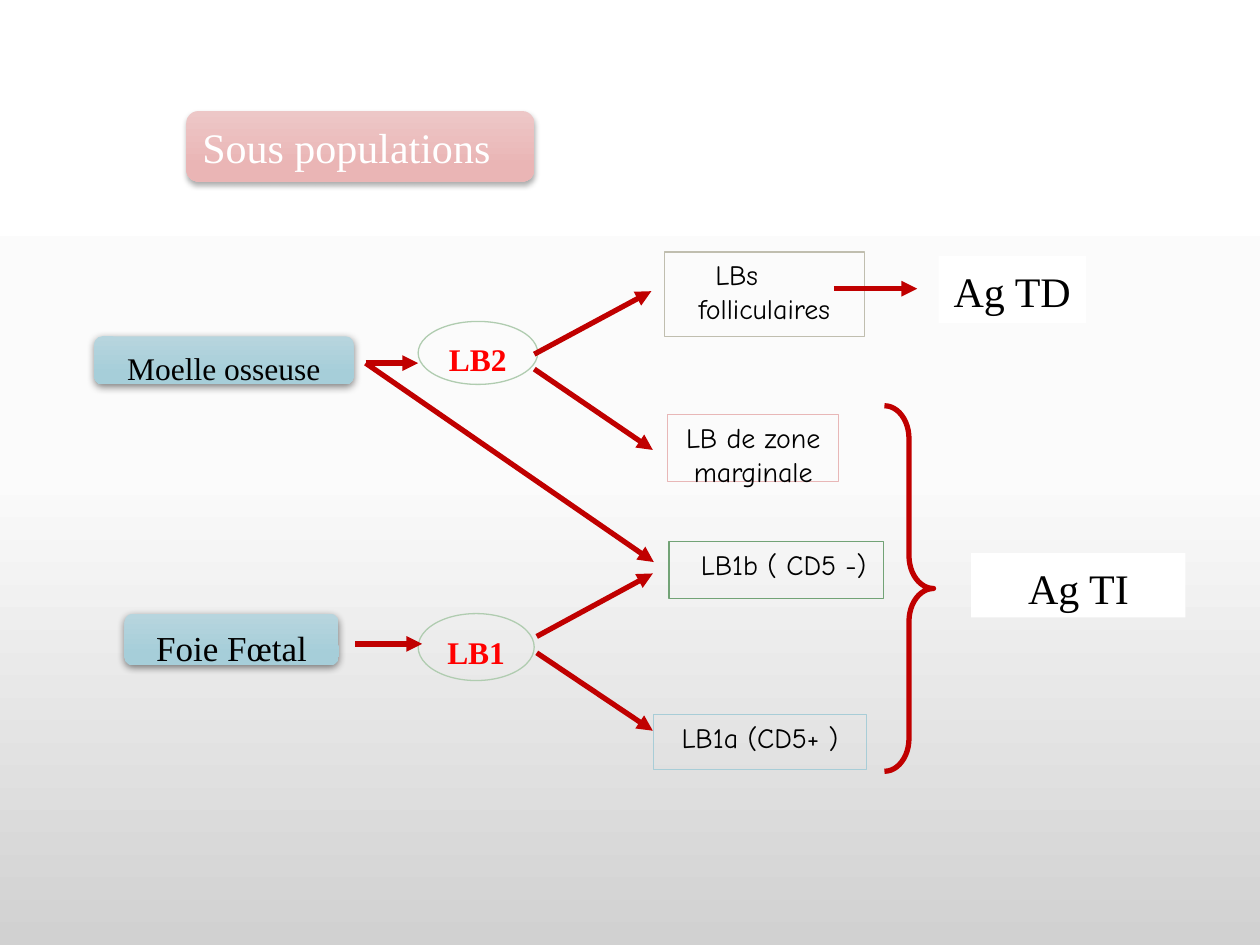
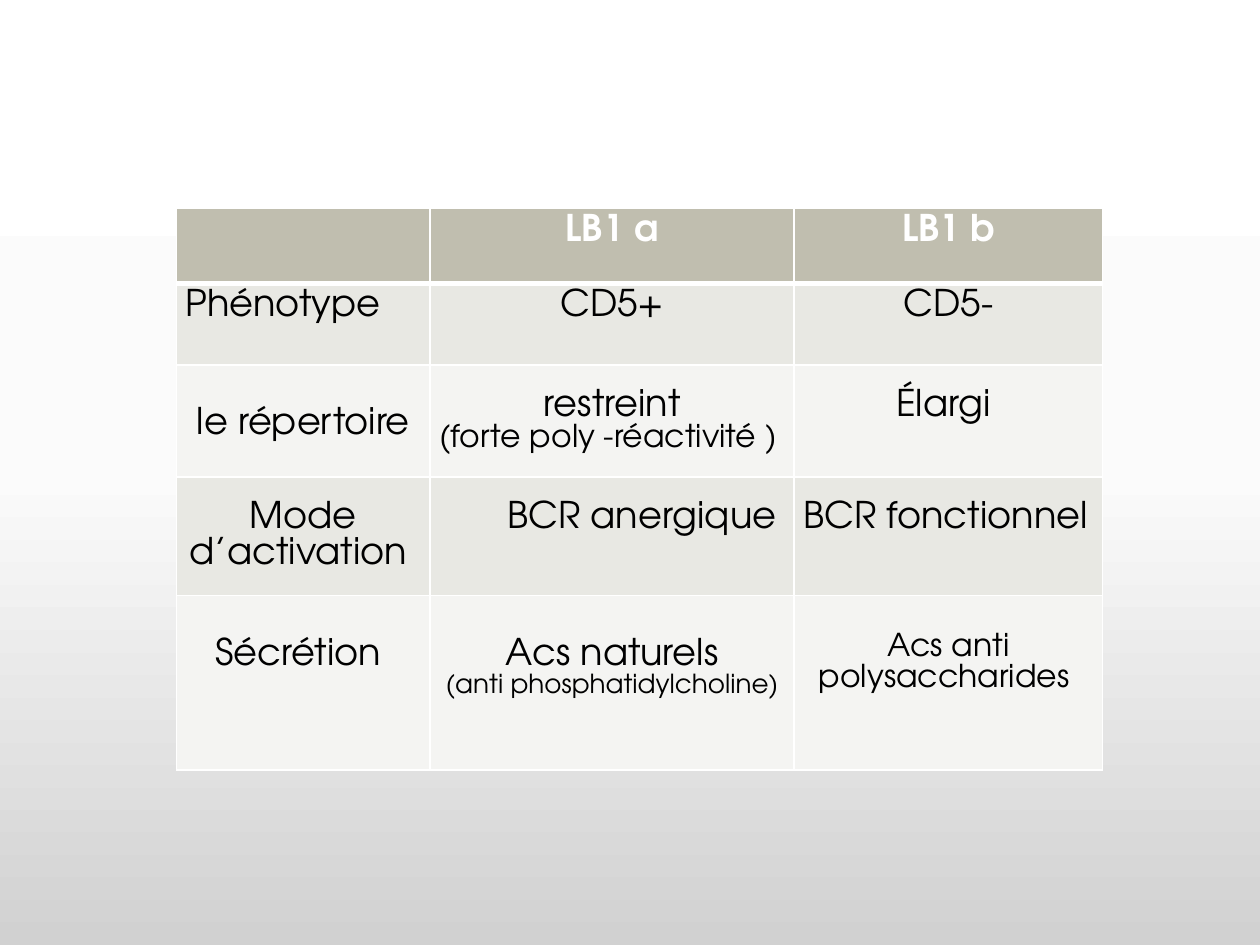
from copy import deepcopy
from pptx import Presentation
from pptx.dml.color import RGBColor as Rgb
from pptx.enum.shapes import MSO_CONNECTOR as Link, MSO_SHAPE as Kind
from pptx.enum.text import MSO_ANCHOR as Anchor, PP_ALIGN as Align
from pptx.oxml import parse_xml
from pptx.oxml.ns import nsdecls, qn
from pptx.util import Cm, Pt


class Theme:
    back = [(0, "FFFFFF"), (0.5, "FBFBFB"), (1, "D1D1D1")]
    blue = [(0, "B7D5DE"), (0.78, "A6CED9")]
    pink = [(0, "EDC7C7"), (0.78, "EAB5B5")]
    white, black, red, dark = "FFFFFF", "000000", "FF0000", "C00000"
    sand, rose, green, mint, sky = "C0BEAF", "E8B7B7", "72A376", "B0CCB0", "A8CDD7"
    bands = ["F4F4F2", "E8E8E3"]
    serif, hand, sans = "Times New Roman", "Comic Neue", "TeX Gyre Adventor"
    title, large, mid, small = 24, 20, 18, 16
    cell, note = 21, 15
    thin, thick = 0.75, 3


def blend(fill, root, stops):
    fill.gradient()
    fill.gradient_angle = 270
    first = next(root.iter(qn("a:gs")))
    for _ in stops[2:]:
        first.addnext(deepcopy(first))
    for stop, (pos, tint) in zip(fill.gradient_stops, stops):
        stop.position = pos
        stop.color.rgb = Rgb.from_string(tint)


def write(par, text, size, face, tint, bold=False):
    run = par.add_run()
    run.text = text
    run.font.size = Pt(size)
    run.font.name = face
    run.font.bold = bold
    run.font.color.rgb = Rgb.from_string(tint)


T = Theme
L, C, R = Align.LEFT, Align.CENTER, Align.RIGHT
prs = Presentation()
prs.slide_width, prs.slide_height = Cm(25.4), Cm(19.05)
blank = prs.slide_layouts[6]
master = prs.slide_master
blend(master.background.fill, master.element, T.back)

tree = prs.slides.add_slide(blank)

boxes = [
    ((13.39, 5.08, 4.04, 1.7), T.sand, [("LBs", L, 0.85), ("folliculaires", C, 0)]),
    ((13.46, 8.36, 3.45, 1.35), T.rose, [("LB de zone", C, 0), ("marginale", C, 0)]),
    ((13.49, 10.92, 4.32, 1.14), T.green, [("LB1b ( CD5 -)", L, 0.46)]),
    ((13.18, 14.4, 4.29, 1.12), T.sky, [("LB1a (CD5+ )", L, 0.38)]),
]
for area, edge, lines in boxes:
    box = tree.shapes.add_shape(Kind.RECTANGLE, *map(Cm, area))
    box.shadow.inherit = False
    box.fill.background()
    box.line.color.rgb = Rgb.from_string(edge)
    box.line.width = Pt(T.thin)
    frame = box.text_frame
    frame.vertical_anchor = Anchor.TOP
    frame.margin_left = frame.margin_right = Cm(0.18)
    frame.margin_top = frame.margin_bottom = Cm(0.12)
    for i, (text, align, shift) in enumerate(lines):
        par = frame.add_paragraph() if i else frame.paragraphs[0]
        par.alignment = align
        par._p.get_or_add_pPr().set("marL", str(Cm(shift)))
        write(par, text, T.small, T.hand, T.black)

labels = [
    (Kind.ROUNDED_RECTANGLE, (1.9, 6.78, 5.23, 0.97), "Moelle osseuse", T.mid, T.black, T.blue, (48, 4.5, 1.5)),
    (Kind.ROUNDED_RECTANGLE, (2.51, 12.37, 4.32, 1.04), "Foie Fœtal", T.large, T.black, T.blue, (48, 4.5, 1.5)),
    (Kind.ROUNDED_RECTANGLE, (3.76, 2.24, 7.01, 1.42), "Sous populations", T.title, T.white, T.pink, (32, 3.5, 2.2)),
    (Kind.OVAL, (8.43, 6.48, 2.41, 1.27), "LB2", T.mid, T.red, None, None),
    (Kind.OVAL, (8.43, 12.37, 2.34, 1.35), "LB1", T.mid, T.red, None, None),
    (Kind.RECTANGLE, (18.92, 5.16, 2.97, 1.35), "Ag TD", T.title, T.black, T.white, None),
    (Kind.RECTANGLE, (19.58, 11.15, 4.32, 1.3), "Ag TI", T.title, T.black, T.white, None),
]
for kind, area, text, size, tint, fill, shade in labels:
    tag = tree.shapes.add_shape(kind, *map(Cm, area))
    tag.shadow.inherit = False
    tag.line.fill.background()
    if shade:
        blend(tag.fill, tag.element, fill)
        alpha, blur, dist = shade
        tag.element.spPr.find(qn("a:effectLst")).append(parse_xml(
            f'<a:outerShdw {nsdecls("a")} blurRad="{Pt(blur)}" dist="{Pt(dist)}" dir="5400000" rotWithShape="0">'
            f'<a:srgbClr val="{T.black}"><a:alpha val="{alpha * 1000}"/></a:srgbClr></a:outerShdw>'))
    elif fill:
        tag.fill.solid()
        tag.fill.fore_color.rgb = Rgb.from_string(fill)
    else:
        tag.fill.background()
        tag.line.color.rgb = Rgb.from_string(T.mint)
        tag.line.width = Pt(T.thin)
    head = fill == T.pink
    frame = tag.text_frame
    frame.vertical_anchor = Anchor.MIDDLE if head else Anchor.TOP
    frame.margin_left = frame.margin_right = Cm(0.25 if head else 0.18)
    frame.margin_top = Cm(0.13 if head else 0.2)
    frame.margin_bottom = Cm(0.1)
    par = frame.paragraphs[0]
    par.alignment = L if head else C
    write(par, text, size, T.serif, tint, kind == Kind.OVAL)

arrows = [
    (7.37, 7.32, 8.43, 7.32),
    (7.37, 7.32, 13.18, 11.33),
    (10.77, 7.14, 13.13, 5.87),
    (10.77, 7.44, 13.16, 9.07),
    (16.81, 5.82, 18.49, 5.82),
    (7.16, 12.98, 8.51, 12.98),
    (10.82, 13.16, 13.16, 14.73),
    (10.82, 12.83, 13.16, 11.56),
]
for ends in arrows:
    arrow = tree.shapes.add_connector(Link.STRAIGHT, *map(Cm, ends))
    arrow.line.color.rgb = Rgb.from_string(T.dark)
    arrow.line.width = Pt(T.thick)
    arrow.line._get_or_add_ln().append(parse_xml(f'<a:tailEnd {nsdecls("a")} type="triangle"/>'))
    arrow._element.spPr.append(parse_xml(f'<a:effectLst {nsdecls("a")}/>'))

brace = tree.shapes.add_shape(Kind.RIGHT_BRACE, *map(Cm, (17.83, 8.18, 0.99, 7.37)))
brace.shadow.inherit = False
brace.adjustments[0] = 0.67
brace.fill.background()
brace.line.color.rgb = Rgb.from_string(T.dark)
brace.line.width = Pt(T.thick)

chart = prs.slides.add_slide(blank)
cols = [5.11, 7.34, 6.22]
rows = [1.52, 1.65, 2.26, 2.39, 3.51]
grid = [
    [(0.1, []), (0.1, [("LB1 a", T.cell, C)]), (0.1, [("LB1 b", T.cell, C)])],
    [(0.1, [("Phénotype", T.cell, L)]), (0.1, [("CD5+", T.cell, C)]), (0.1, [("CD5-", T.cell, C)])],
    [(0.83, [("le répertoire", T.cell, C)]),
     (0.45, [("restreint", T.cell, C), ("(forte poly -réactivité )", T.mid, L)]),
     (0.45, [("Élargi ", T.cell, C)])],
    [(0.45, [("Mode d’activation ", T.cell, C)]),
     (0.45, [("BCR anergique", T.cell, R)]),
     (0.45, [("BCR fonctionnel", T.cell, L)])],
    [(0.83, [("Sécrétion ", T.cell, C)]),
     (0.83, [("Acs naturels", T.cell, C), ("(anti phosphatidylcholine)", T.note, C)]),
     (0.73, [("Acs anti polysaccharides ", T.mid, C)])],
]
table = chart.shapes.add_table(
    len(rows), len(cols), Cm(3.56), Cm(4.19), Cm(sum(cols)), Cm(sum(rows))).table
for col, width in zip(table.columns, cols):
    col.width = Cm(width)
for row, height in zip(table.rows, rows):
    row.height = Cm(height)
for r, line in enumerate(grid):
    for c, (top, texts) in enumerate(line):
        cell = table.cell(r, c)
        cell.margin_left = Cm(0.18)
        cell.margin_right = Cm(0.36 if texts and texts[0][2] == R else 0.18)
        cell.margin_top, cell.margin_bottom = Cm(top), Cm(0.1)
        for side in "LRTB":
            wide = T.thick if (r, side) in [(0, "B"), (1, "T")] else 1
            cell._tc.get_or_add_tcPr().append(parse_xml(
                f'<a:ln{side} {nsdecls("a")} w="{Pt(wide)}"><a:solidFill>'
                f'<a:srgbClr val="{T.white}"/></a:solidFill></a:ln{side}>'))
        cell.fill.solid()
        cell.fill.fore_color.rgb = Rgb.from_string(T.bands[r % 2] if r else T.sand)
        frame = cell.text_frame
        for i, (text, size, align) in enumerate(texts):
            par = frame.add_paragraph() if i else frame.paragraphs[0]
            par.alignment = align
            par.line_spacing = Pt(size - 0.5)
            write(par, text, size, T.sans, T.black if r else T.white, r == 0)

prs.save("out.pptx")
